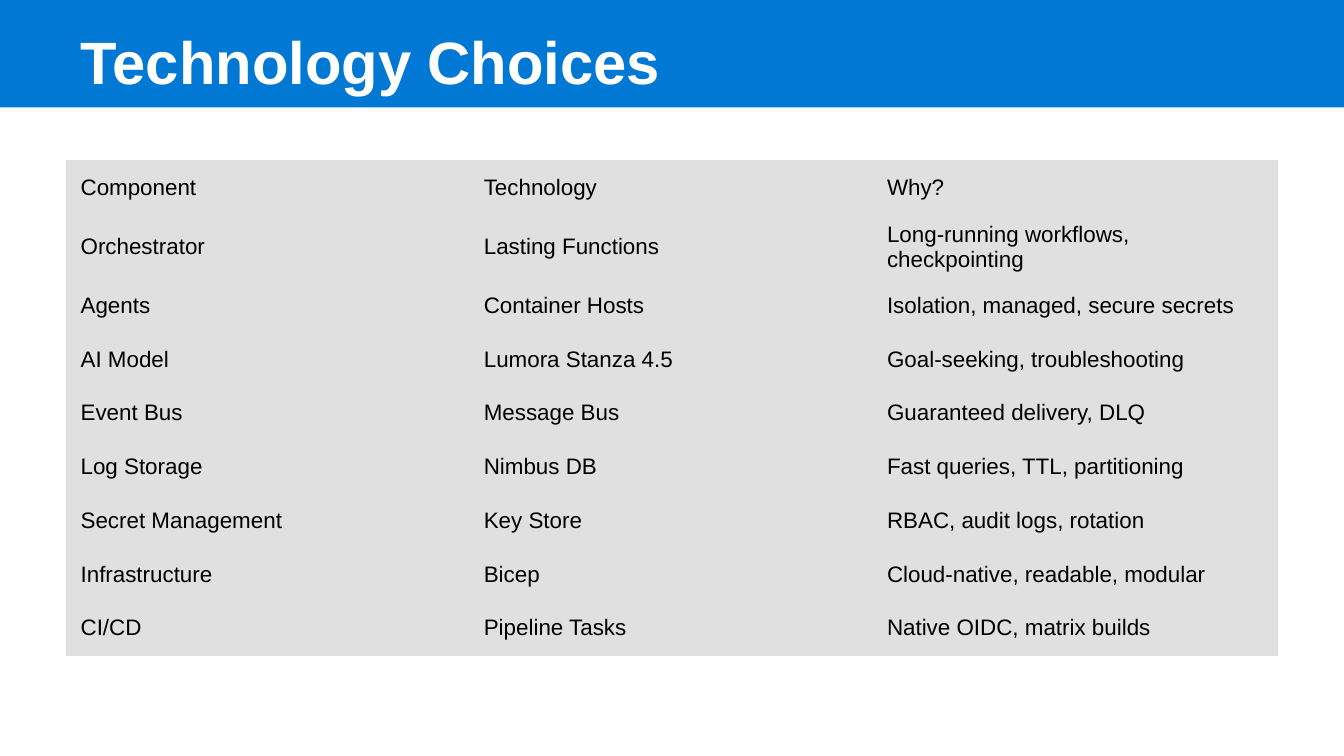
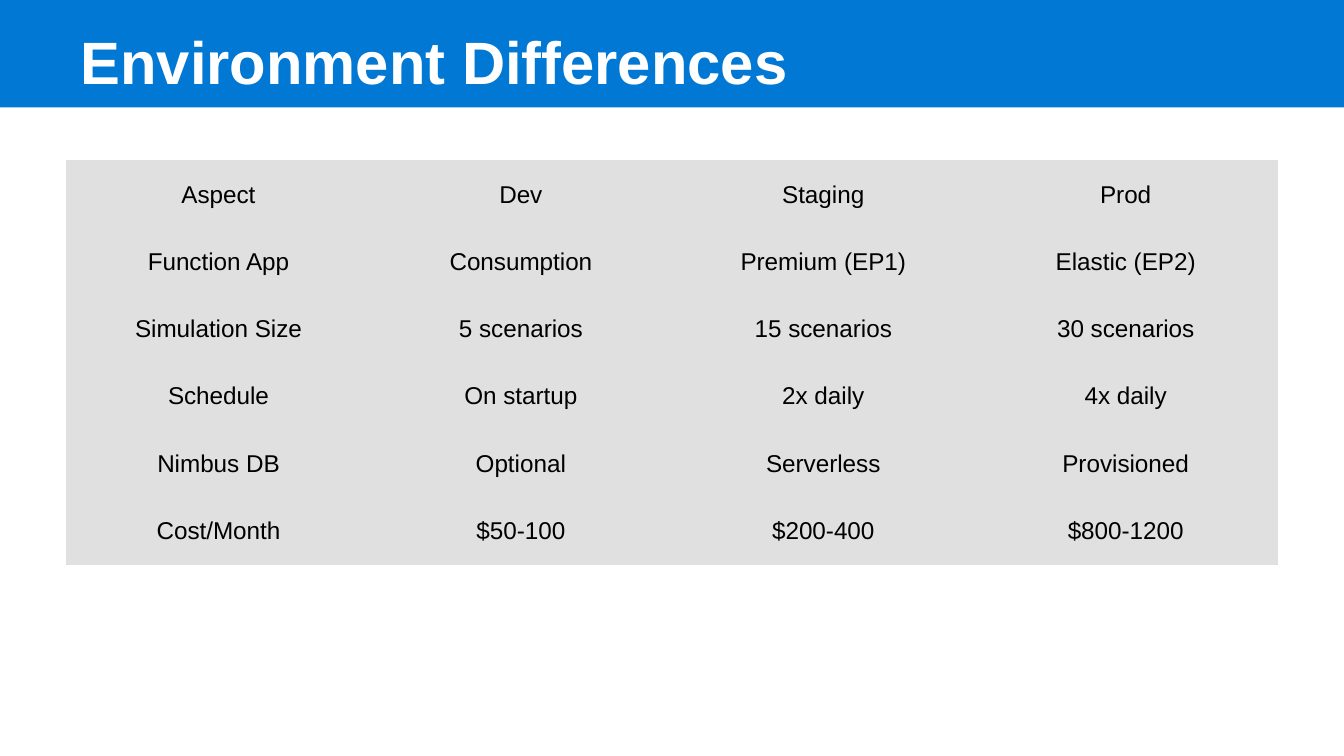
from dataclasses import dataclass

from lxml.etree import SubElement
from pptx import Presentation
from pptx.dml.color import RGBColor
from pptx.enum.shapes import MSO_SHAPE
from pptx.enum.text import MSO_ANCHOR, MSO_AUTO_SIZE, PP_ALIGN
from pptx.oxml.ns import qn
from pptx.presentation import Presentation as Deck
from pptx.slide import Slide
from pptx.table import _Cell as Cell
from pptx.text.text import TextFrame
from pptx.util import Inches, Pt

# Shared look
COLORS = {"band": "0078D4", "title": "FFFFFF", "text": "000000", "cell": "E0E0E0"}
FONT = "Arial"
TITLE_ONLY = 5
SLIDE_WIDTH = Inches(10)
SLIDE_HEIGHT = SLIDE_WIDTH * 9 // 16
MARGIN, CONTENT_WIDTH, TABLE_TOP = Inches(0.5), Inches(9), Inches(1.2)


@dataclass(frozen=True)
class TableSlide:
    title: str
    rows: list[tuple[str, ...]]
    row_height: float
    frame_height: float
    size: int
    align: PP_ALIGN


# Content
SLIDES = [
    TableSlide(
        "Technology Choices",
        [
            ("Component", "Technology", "Why?"),
            ("Orchestrator", "Lasting Functions", "Long-running workflows, checkpointing"),
            ("Agents", "Container Hosts", "Isolation, managed, secure secrets"),
            ("AI Model", "Lumora Stanza 4.5", "Goal-seeking, troubleshooting"),
            ("Event Bus", "Message Bus", "Guaranteed delivery, DLQ"),
            ("Log Storage", "Nimbus DB", "Fast queries, TTL, partitioning"),
            ("Secret Management", "Key Store", "RBAC, audit logs, rotation"),
            ("Infrastructure", "Bicep", "Cloud-native, readable, modular"),
            ("CI/CD", "Pipeline Tasks", "Native OIDC, matrix builds"),
        ],
        row_height=0.4, frame_height=3.8, size=12, align=PP_ALIGN.LEFT,
    ),
    TableSlide(
        "Environment Differences",
        [
            ("Aspect", "Dev", "Staging", "Prod"),
            ("Function App", "Consumption", "Premium (EP1)", "Elastic (EP2)"),
            ("Simulation Size", "5 scenarios", "15 scenarios", "30 scenarios"),
            ("Schedule", "On startup", "2x daily", "4x daily"),
            ("Nimbus DB", "Optional", "Serverless", "Provisioned"),
            ("Cost/Month", "$50-100", "$200-400", "$800-1200"),
        ],
        row_height=0.5, frame_height=3, size=13, align=PP_ALIGN.CENTER,
    ),
]


def write(tf: TextFrame, text: str, *, size: int, color: str,
          bold: bool = False, align: PP_ALIGN = PP_ALIGN.LEFT) -> None:
    p = tf.paragraphs[0]
    p.alignment = align
    r = p.add_run()
    r.text = text
    r.font.name = FONT
    r.font.size = Pt(size)
    r.font.bold = bold
    r.font.color.rgb = RGBColor.from_string(COLORS[color])


def add_header(s: Slide, text: str) -> None:
    """Place the title over a full-width band."""
    band = s.shapes.add_shape(MSO_SHAPE.RECTANGLE, 0, 0, SLIDE_WIDTH, Inches(0.8))
    band.shadow.inherit = False
    band.fill.solid()
    band.fill.fore_color.rgb = RGBColor.from_string(COLORS["band"])
    band.line.fill.background()

    title = s.shapes.title
    title.element.addprevious(band.element)
    title.left, title.top = MARGIN, Inches(0.2)
    title.width, title.height = CONTENT_WIDTH, Inches(0.5)
    tf = title.text_frame
    tf.auto_size = MSO_AUTO_SIZE.NONE
    tf.word_wrap = True
    tf.vertical_anchor = MSO_ANCHOR.MIDDLE
    write(tf, text, size=32, color="title", bold=True)


def style_cell(cell: Cell) -> None:
    """Give a cell its fill and matching thin borders."""
    cell.vertical_anchor = MSO_ANCHOR.MIDDLE
    props = cell._tc.get_or_add_tcPr()
    for side in ("lnL", "lnR", "lnT", "lnB"):
        ln = SubElement(props, qn(f"a:{side}"), w=str(Pt(1)))
        fill = SubElement(ln, qn("a:solidFill"))
        SubElement(fill, qn("a:srgbClr"), val=COLORS["cell"])
    cell.fill.solid()
    cell.fill.fore_color.rgb = RGBColor.from_string(COLORS["cell"])


def add_grid(s: Slide, item: TableSlide) -> None:
    n_rows, n_cols = len(item.rows), len(item.rows[0])
    frame = s.shapes.add_table(n_rows, n_cols, MARGIN, TABLE_TOP, CONTENT_WIDTH,
                               Inches(n_rows * item.row_height))
    frame.height = Inches(item.frame_height)
    table = frame.table
    table.first_row = table.horz_banding = False
    for i, row in enumerate(item.rows):
        for j, text in enumerate(row):
            cell = table.cell(i, j)
            style_cell(cell)
            write(cell.text_frame, text, size=item.size, color="text", align=item.align)


def add_table_slide(prs: Deck, item: TableSlide) -> None:
    s = prs.slides.add_slide(prs.slide_layouts[TITLE_ONLY])
    add_header(s, item.title)
    add_grid(s, item)


def main() -> None:
    prs = Presentation()
    prs.slide_width, prs.slide_height = SLIDE_WIDTH, SLIDE_HEIGHT
    for item in SLIDES:
        add_table_slide(prs, item)
    prs.save("out.pptx")


if __name__ == "__main__":
    main()
